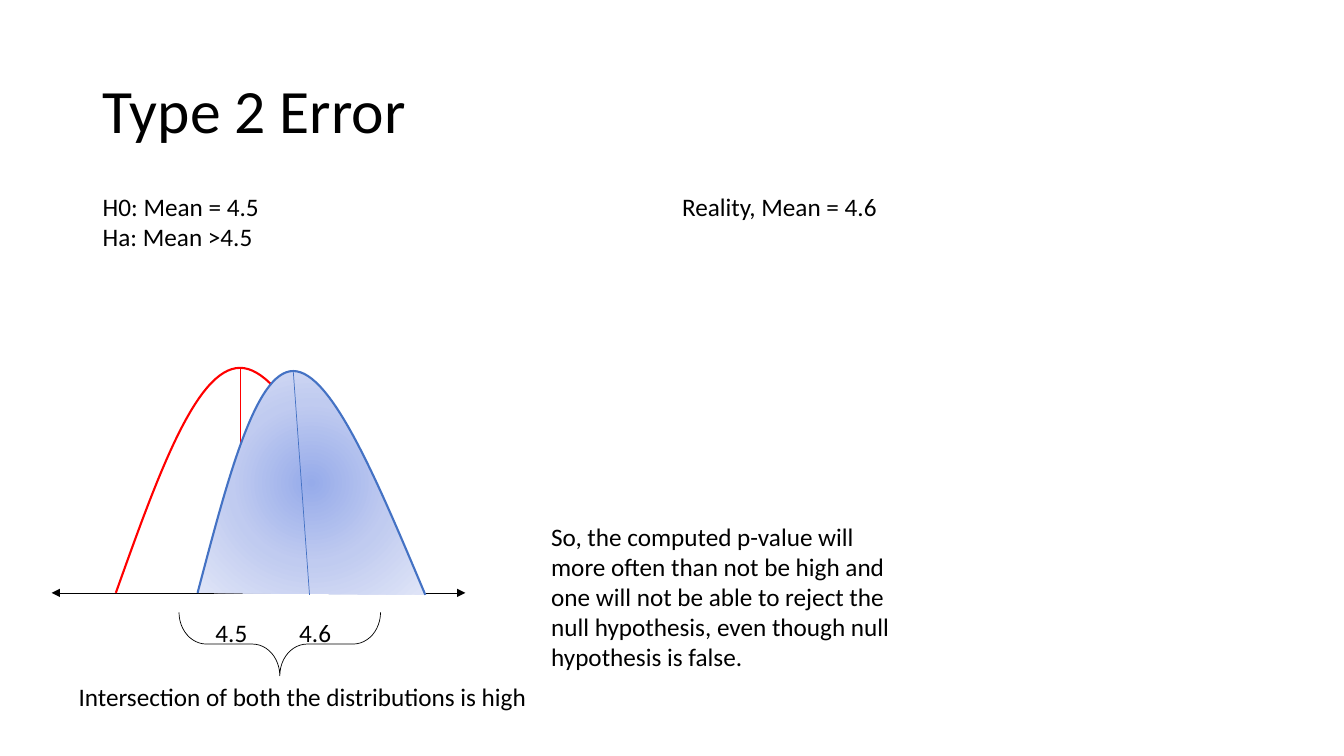
from lxml.etree import SubElement
from pptx import Presentation
from pptx.dml.color import RGBColor
from pptx.enum.shapes import MSO_CONNECTOR, MSO_SHAPE
from pptx.enum.text import MSO_ANCHOR
from pptx.oxml import parse_xml
from pptx.oxml.ns import nsdecls, qn
from pptx.util import Cm, Pt

COLORS = {"ink": "000000", "null": "FF0000", "reality": "4472C4",
          "glow": "96ABEA", "haze": "C0CBF0", "mist": "E0E5F7"}
FONT = "Calibri"
THIN, THICK = 0.5, 1.5

# Text boxes: lines, then left, top, width, height in cm
TITLE = (["Type 2 Error"], (2.34, 1.02, 29.21, 3.68))
HYPOTHESES = (["H0: Mean = 4.5", "Ha: Mean >4.5"], (2.34, 4.7, 7.8, 1.8))
REALITY = (["Reality, Mean = 4.6"], (16.94, 4.7, 7.8, 1.02))
NULL_MEAN = (["4.5"], (5.18, 15.42, 3.28, 1.02))
REAL_MEAN = (["4.6"], (7.29, 15.42, 2.06, 1.02))
OVERLAP = (["Intersection of both the distributions is high"],
           (1.73, 17.04, 11.91, 1.02))
CONCLUSION = (["So, the computed p-value will more often than not be high and "
               "one will not be able to reject the null hypothesis, even "
               "though null hypothesis is false."], (13.64, 13, 9.6, 4.11))

# Curves: a start point, then three points for each Bezier segment
AXIS = ((1.3, 14.94), (11.73, 14.94))
NULL_CURVE = [(2.92, 14.94), (3.94, 12.09), (4.93, 9.27), (6.05, 9.27),
              (7.16, 9.27), (8.38, 12.09), (9.6, 14.94)]
REAL_CURVE = [(4.98, 14.94), (5.72, 12.14), (6.43, 9.35), (7.39, 9.35),
              (8.36, 9.35), (9.53, 12.17), (10.72, 14.99)]
NULL_FOOT, REAL_FOOT = (6.05, 14.94), (7.8, 14.99)
BRACE = (6.25, 13.69, 1.6, 5.08)
GRADIENT = [(0, "glow"), (50, "haze"), (100, "mist")]


def rgb(name):
    """Return the palette colour of that name."""
    return RGBColor.from_string(COLORS[name])


def add_text(page, content, size=18, anchor=MSO_ANCHOR.TOP, spacing=1.0):
    """Add a wrapped text box with one paragraph for each line."""
    lines, place = content
    frame = page.shapes.add_textbox(*map(Cm, place)).text_frame
    frame.word_wrap = True
    frame.vertical_anchor = anchor
    for index, line in enumerate(lines):
        para = frame.add_paragraph() if index else frame.paragraphs[0]
        para.line_spacing = spacing
        span = para.add_run()
        span.text = line
        span.font.name, span.font.size = FONT, Pt(size)
        span.font.color.rgb = rgb("ink")


def set_outline(shape, color, width):
    """Set the line colour and width of a shape or connector."""
    shape.line.color.rgb = rgb(color)
    shape.line.width = Pt(width)


def add_line(page, start, end, color, arrows=False):
    """Add a thin straight line, with arrowheads at both ends if asked."""
    line = page.shapes.add_connector(
        MSO_CONNECTOR.STRAIGHT, *map(Cm, (*start, *end)))
    set_outline(line, color, THIN)
    if arrows:
        for tag in ("a:headEnd", "a:tailEnd"):
            SubElement(line.line._ln, qn(tag), type="triangle")
    SubElement(line._element.spPr, qn("a:effectLst"))


def add_curve(page, points, color):
    """Add an open, unfilled Bezier curve."""
    start, *rest = [tuple(map(Cm, point)) for point in points]
    builder = page.shapes.build_freeform(*start)
    builder.add_line_segments(rest, close=False)
    curve = builder.convert_to_shape()
    curve.shadow.inherit = False
    curve.fill.background()
    set_outline(curve, color, THICK)
    outline = next(curve._element.iter(qn("a:path")))
    steps = outline.findall(qn("a:lnTo"))
    for first in range(0, len(steps), 3):
        bezier = SubElement(outline, qn("a:cubicBezTo"))
        for step in steps[first:first + 3]:
            bezier.append(step[0])
            outline.remove(step)
    return curve


def fill_radial(shape, stops):
    """Replace the empty fill with a gradient from the centre outwards."""
    marks = "".join(
        f'<a:gs pos="{share * 1000}"><a:srgbClr val="{COLORS[name]}"/></a:gs>'
        for share, name in stops)
    gradient = parse_xml(
        f'<a:gradFill {nsdecls("a")} rotWithShape="1"><a:gsLst>{marks}</a:gsLst>'
        '<a:path path="circle"><a:fillToRect l="50000" t="50000" r="50000" '
        'b="50000"/></a:path></a:gradFill>')
    properties = shape._element.spPr
    properties.replace(properties.find(qn("a:noFill")), gradient)


def add_brace(page):
    """Add the brace that opens upwards under the overlap."""
    brace = page.shapes.add_shape(MSO_SHAPE.RIGHT_BRACE, *map(Cm, BRACE))
    brace.rotation = 90
    brace.adjustments[0], brace.adjustments[1] = 0.432, 0.5
    brace.shadow.inherit = False
    brace.fill.background()
    set_outline(brace, "ink", THIN)


deck = Presentation()
deck.slide_width, deck.slide_height = Cm(33.87), Cm(19.05)
page = deck.slides.add_slide(deck.slide_layouts[6])

add_text(page, TITLE, 44, MSO_ANCHOR.MIDDLE, 0.9)
add_text(page, HYPOTHESES)
add_text(page, REALITY)
add_line(page, *AXIS, "ink", arrows=True)
add_curve(page, NULL_CURVE, "null")
add_line(page, NULL_CURVE[3], NULL_FOOT, "null")
add_text(page, NULL_MEAN)
fill_radial(add_curve(page, REAL_CURVE, "reality"), GRADIENT)
add_line(page, REAL_CURVE[3], REAL_FOOT, "reality")
add_text(page, REAL_MEAN)
add_brace(page)
add_text(page, OVERLAP)
add_text(page, CONCLUSION)

deck.save("out.pptx")
